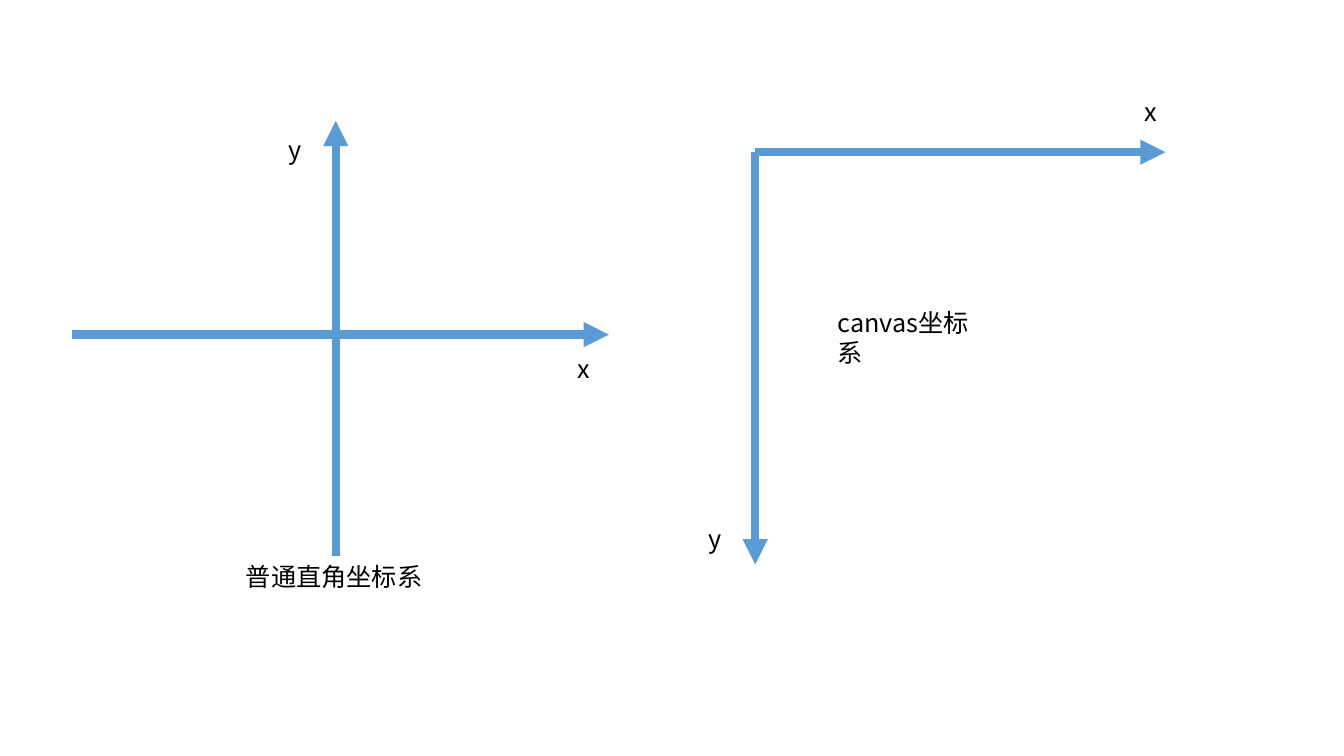
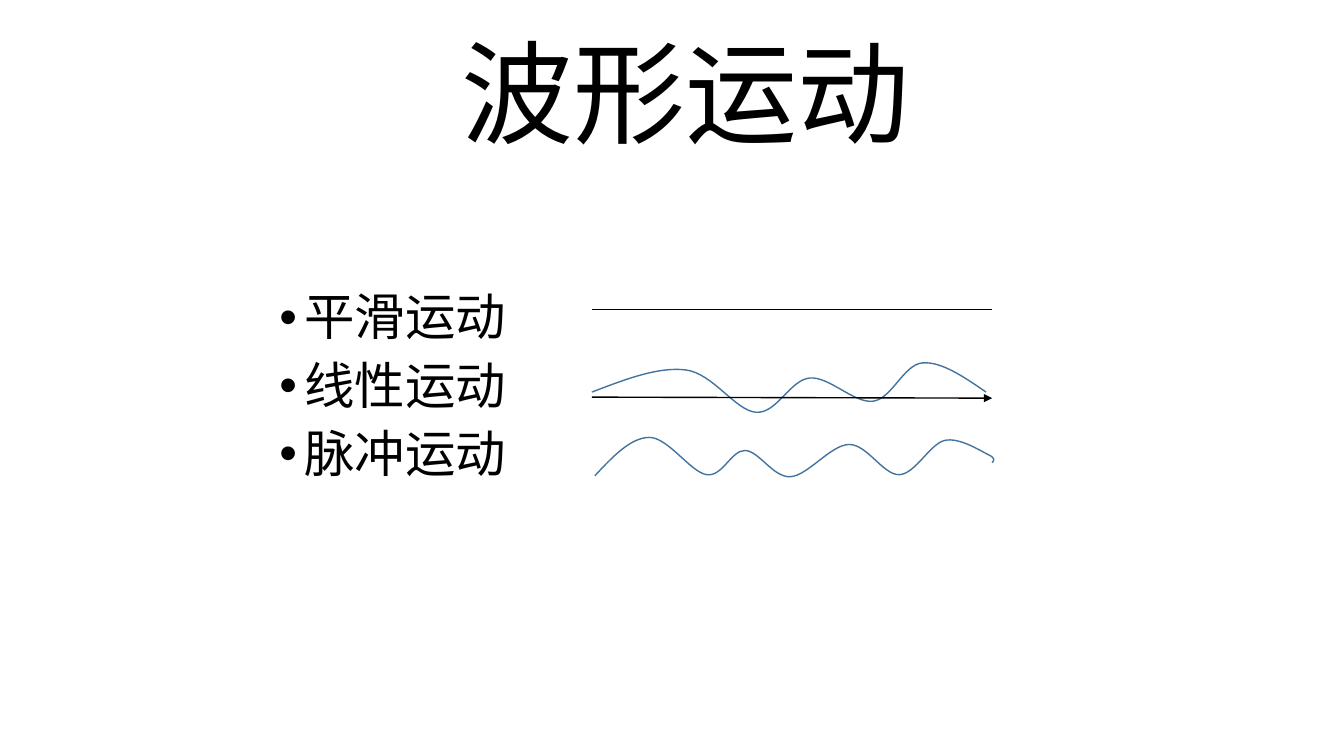
from pptx import Presentation
from pptx.dml.color import RGBColor
from pptx.enum.shapes import MSO_CONNECTOR
from pptx.enum.text import MSO_ANCHOR, MSO_AUTO_SIZE, PP_ALIGN
from pptx.oxml.ns import qn
from pptx.util import Inches, Pt
from lxml import etree

STRAIGHT = MSO_CONNECTOR.STRAIGHT
LEFT, CENTER = PP_ALIGN.LEFT, PP_ALIGN.CENTER
TOP, MIDDLE = MSO_ANCHOR.TOP, MSO_ANCHOR.MIDDLE
FIT, FIXED = MSO_AUTO_SIZE.SHAPE_TO_FIT_TEXT, MSO_AUTO_SIZE.NONE

FONT = "Noto Sans CJK SC"
COLORS = {"axis": "5B9BD5", "wave": "43739E", "ink": "000000"}

LETTER = 0.31
INDENT = 0.25
WAVE_LEFT, WAVE_RIGHT = 5.87, 9.84

PLAIN = {
    "origin": (3.33, 3.32),
    "across": (0.71, 6.04),
    "upright": (5.52, 1.2),
    "labels": [("x", 5.63, 3.46, LETTER), ("y", 2.76, 1.28, LETTER),
               ("普通直角坐标系", 2.34, 5.52, 1.97)],
}
CANVAS = {
    "origin": (7.49, 1.51),
    "across": (7.49, 11.56),
    "upright": (1.51, 5.6),
    "labels": [("x", 11.25, 0.91, LETTER), ("y", 6.93, 5.14, LETTER),
               ("canvas坐标系", 8.21, 3, 1.69)],
}

MOTIONS = ["平滑运动", "线性运动", "脉冲运动"]
LINEAR = [(WAVE_LEFT, 3.89), (6.8, 3.67), (7.5, 4.09), (8.03, 3.75),
          (8.66, 3.98), (9.15, 3.6), (9.78, 3.89)]
PULSE = [(5.9, 4.72), (6.44, 4.34), (7.01, 4.71), (7.39, 4.47), (7.84, 4.73),
         (8.42, 4.41), (8.92, 4.71), (9.37, 4.37), (9.8, 4.51),
         (WAVE_RIGHT, 4.59)]


def color(name):
    return RGBColor.from_string(COLORS[name])


def place(shape, left, top, width, height):
    shape.left, shape.top = Inches(left), Inches(top)
    shape.width, shape.height = Inches(width), Inches(height)


def bullet(para):
    props = para._p.get_or_add_pPr()
    props.set("marL", str(Inches(INDENT)))
    props.set("indent", str(-Inches(INDENT)))
    etree.SubElement(props, qn("a:buFont")).set("typeface", "Arial")
    etree.SubElement(props, qn("a:buChar")).set("char", "•")


def write(shape, lines, size=18, align=LEFT, anchor=TOP, fit=FIXED,
          space=None, before=0, dots=False):
    frame = shape.text_frame
    frame.word_wrap = True
    frame.auto_size = fit
    frame.vertical_anchor = anchor
    frame.text = "\n".join(lines)
    for para in frame.paragraphs:
        para.alignment = align
        para.line_spacing = space
        para.space_before = Pt(before)
        if dots:
            bullet(para)
        for run in para.runs:
            font = run.font
            font.name, font.size = FONT, Pt(size)
            font.color.rgb = color("ink")
            east = etree.SubElement(run._r.get_or_add_rPr(), qn("a:ea"))
            east.set("typeface", FONT)


def label(slide, text, left, top, width):
    box = slide.shapes.add_textbox(
        Inches(left), Inches(top), Inches(width), Inches(0.4))
    write(box, [text], fit=FIT)


def line(slide, start, end, name="ink", width=1, arrow=True):
    ends = [Inches(n) for n in (*start, *end)]
    link = slide.shapes.add_connector(STRAIGHT, *ends)
    link.line.color.rgb = color(name)
    link.line.width = Pt(width)
    if arrow:
        tail = etree.SubElement(link.line._get_or_add_ln(), qn("a:tailEnd"))
        tail.set("type", "triangle")
    etree.SubElement(link._element.spPr, qn("a:effectLst"))


def system(slide, origin, across, upright, labels):
    x, y = origin
    left, right = across
    tail, head = upright
    line(slide, (left, y), (right, y), name="axis", width=6)
    line(slide, (x, tail), (x, head), name="axis", width=6)
    for item in labels:
        label(slide, *item)


def shift(point, before, after, part):
    return tuple(p + (b - a) * part for p, a, b in zip(point, before, after))


def middle(one, two):
    return shift(one, one, two, 1 / 2)


def handles(knots):
    trios = list(zip(knots, knots[1:], knots[2:]))
    into = [shift(knot, last, then, -1 / 6) for last, knot, then in trios]
    out = [shift(knot, last, then, 1 / 6) for last, knot, then in trios]
    out.insert(0, middle(knots[0], into[0]))
    into.append(middle(out[-1], knots[-1]))
    return zip(out, into, knots[1:])


def wave(slide, knots):
    spans = list(handles(knots))
    pen = slide.shapes.build_freeform(*map(Inches, knots[0]))
    pen.add_line_segments(
        [tuple(map(Inches, point)) for span in spans for point in span],
        close=False)
    shape = pen.convert_to_shape()
    steps = iter(list(shape._element.iter(qn("a:lnTo"))))
    for trio in zip(steps, steps, steps):
        curve = etree.Element(qn("a:cubicBezTo"))
        trio[0].addprevious(curve)
        for step in trio:
            curve.append(step[0])
            step.getparent().remove(step)
    shape.shadow.inherit = False
    shape.fill.background()
    shape.line.color.rgb = color("wave")
    shape.line.width = Pt(1)


def axes(deck):
    slide = deck.slides.add_slide(deck.slide_layouts.get_by_name("Blank"))
    for parts in (PLAIN, CANVAS):
        system(slide, **parts)


def waves(deck):
    layout = deck.slide_layouts.get_by_name("Title and Content")
    slide = deck.slides.add_slide(layout)
    title, body = slide.placeholders
    place(title, 1.05, 0.26, 11.5, 1.45)
    write(title, ["波形运动"], size=80, align=CENTER, anchor=MIDDLE, space=0.9)
    place(body, 1.05, 2.85, 5.69, 2.52)
    write(body, MOTIONS, size=36, align=CENTER, space=0.9, before=10, dots=True)
    line(slide, (WAVE_LEFT, 3.07), (WAVE_RIGHT, 3.07), arrow=False)
    for knots in (LINEAR, PULSE):
        wave(slide, knots)
    line(slide, (WAVE_LEFT, 3.94), (WAVE_RIGHT, 3.95))


def main():
    deck = Presentation()
    deck.slide_width, deck.slide_height = Inches(13.33), Inches(7.5)
    axes(deck)
    waves(deck)
    deck.save("out.pptx")


main()
